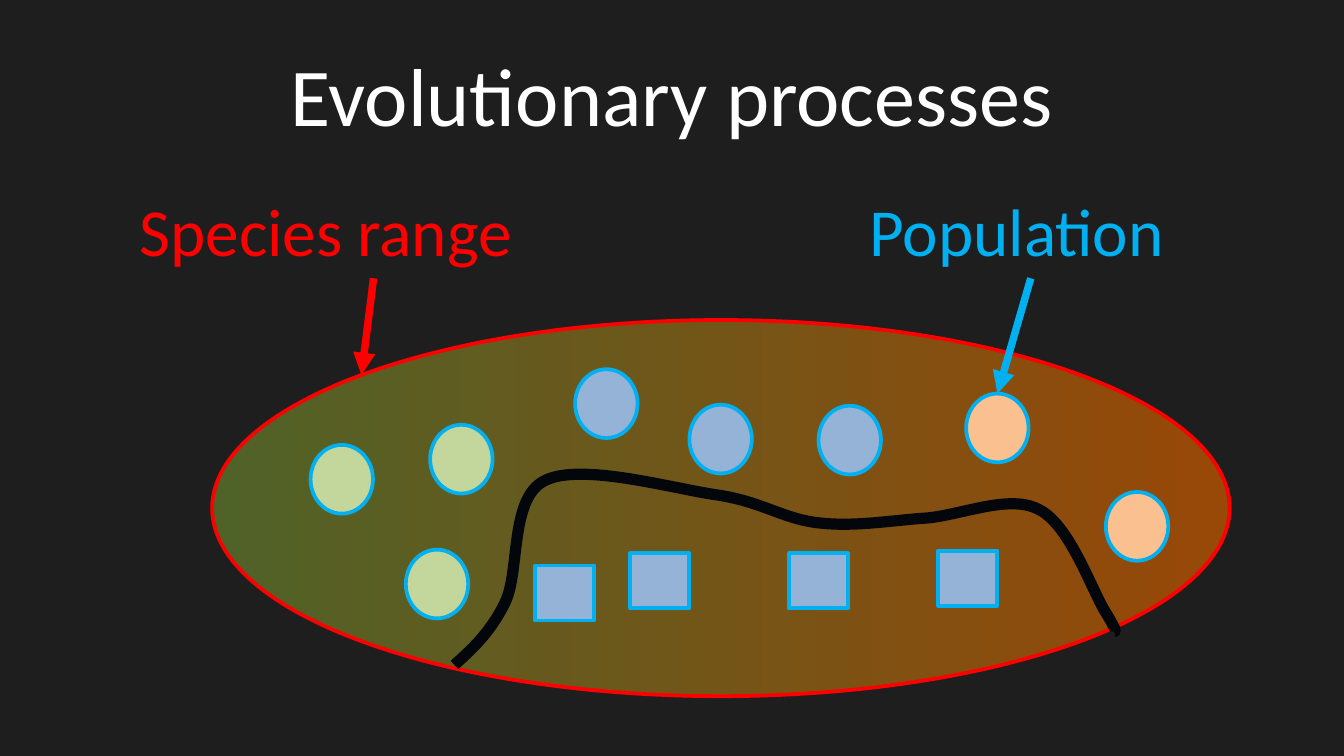
from typing import NamedTuple

from pptx import Presentation
from pptx.dml.color import RGBColor
from pptx.enum.shapes import MSO_CONNECTOR, MSO_SHAPE
from pptx.enum.text import MSO_ANCHOR, PP_ALIGN
from pptx.oxml.ns import qn
from pptx.oxml.xmlchemy import OxmlElement
from pptx.util import Cm, Pt

FONT = "Calibri"
RED, SKY, WHITE = "FF0000", "00B0F0", "FFFFFF"
GREEN, BLUE, PEACH = "C3D69B", "95B3D7", "FAC090"


class Kind(NamedTuple):
    shape: MSO_SHAPE
    width: float
    height: float


class Group(NamedTuple):
    """Populations of one kind and fill, with their top left corners in cm."""
    kind: Kind
    fill: str
    spots: list[tuple[float, float]]


class Label(NamedTuple):
    text: str
    color: str
    box: tuple[float, float, float, float]
    tail: tuple[float, float]
    tip: tuple[float, float]


ROUND = Kind(MSO_SHAPE.OVAL, 1.18, 1.3)
SQUARE = Kind(MSO_SHAPE.RECTANGLE, 1.12, 1.04)

GROUPS = [
    Group(ROUND, GREEN, [(5.87, 8.41), (8.13, 8.03), (7.67, 10.39)]),
    Group(ROUND, BLUE, [(10.87, 6.98), (13.03, 7.65), (15.47, 7.67)]),
    Group(ROUND, PEACH, [(18.26, 7.44), (20.9, 9.3)]),
    Group(SQUARE, BLUE, [(10.11, 10.69), (11.91, 10.46), (14.91, 10.46), (17.73, 10.41)]),
]
LABELS = [
    Label("Species range", RED, (2.39, 3.45, 9.35, 1.78), (7.06, 5.26), (6.83, 7.09)),
    Label("Population", SKY, (16.18, 3.45, 6.6, 1.78), (19.48, 5.26), (18.85, 7.44)),
]
# Start point, then two handles and an end point for each curve
BARRIER = [
    (8.59, 12.57),
    (8.92, 12.27), (9.27, 11.96), (9.55, 11.38),
    (9.83, 10.8), (9.63, 9.42), (10.29, 9.09),
    (10.95, 8.74), (12.65, 9.22), (13.51, 9.35),
    (14.38, 9.47), (14.78, 9.8), (15.44, 9.88),
    (16.08, 9.96), (16.69, 9.86), (17.4, 9.8),
    (18.08, 9.78), (19.05, 9.32), (19.63, 9.63),
    (20.22, 9.91), (20.65, 11.2), (20.9, 11.58),
    (21.13, 11.96), (21.08, 11.94), (21.06, 11.94),
]


def paint(target, color: str) -> None:
    """Give a solid fill or a line its colour."""
    target.solid()
    target.fore_color.rgb = RGBColor.from_string(color)


def stroke(item, color: str, width: float) -> None:
    paint(item.line.fill, color)
    item.line.width = Pt(width)


def write(slide, text: str, box, *, size: float, color: str,
          align=PP_ALIGN.LEFT, anchor=MSO_ANCHOR.TOP) -> None:
    frame = slide.shapes.add_textbox(*map(Cm, box)).text_frame
    frame.word_wrap = True
    frame.vertical_anchor = anchor
    line = frame.paragraphs[0]
    line.alignment = align
    run = line.add_run()
    run.text = text
    run.font.name = FONT
    run.font.size = Pt(size)
    run.font.color.rgb = RGBColor.from_string(color)


def draw_range(slide) -> None:
    oval = slide.shapes.add_shape(MSO_SHAPE.OVAL, *map(Cm, (4.01, 6.05, 19.23, 7.11)))
    oval.shadow.inherit = False
    oval.fill.gradient()
    oval.fill.gradient_angle = 0
    for stop, color, place in zip(oval.fill.gradient_stops, ("4F6228", "984807"), (0, 1)):
        stop.color.rgb = RGBColor.from_string(color)
        stop.position = place
    stroke(oval, RED, 2)


def draw_group(slide, group: Group) -> None:
    kind = group.kind
    for left, top in group.spots:
        mark = slide.shapes.add_shape(
            kind.shape, Cm(left), Cm(top), Cm(kind.width), Cm(kind.height))
        mark.shadow.inherit = False
        paint(mark.fill, group.fill)
        stroke(mark, SKY, 2)


def draw_arrow(slide, label: Label) -> None:
    arrow = slide.shapes.add_connector(
        MSO_CONNECTOR.STRAIGHT, *map(Cm, label.tail + label.tip))
    stroke(arrow, label.color, 4)
    head = OxmlElement("a:tailEnd")
    head.set("type", "triangle")
    arrow.line._get_or_add_ln().append(head)
    arrow._element.spPr.append(OxmlElement("a:effectLst"))


def draw_curve(slide, points: list[tuple[float, float]], color: str, width: float) -> None:
    """Draw an open line, turning each three segments into one Bezier curve."""
    start, *rest = [(Cm(x), Cm(y)) for x, y in points]
    pen = slide.shapes.build_freeform(*start)
    pen.add_line_segments(rest, close=False)
    curve = pen.convert_to_shape()
    curve.shadow.inherit = False
    curve.fill.background()
    stroke(curve, color, width)
    trace = next(curve._element.iter(qn("a:path")))
    steps = trace.findall(qn("a:lnTo"))
    for first in range(0, len(steps), 3):
        bend = OxmlElement("a:cubicBezTo")
        for step in steps[first:first + 3]:
            bend.append(step[0])
            trace.remove(step)
        trace.append(bend)


def main() -> None:
    deck = Presentation()
    deck.slide_width, deck.slide_height = Cm(25.4), Cm(14.29)
    slide = deck.slides.add_slide(deck.slide_layouts[6])
    paint(slide.background.fill, "1E1E1E")
    write(slide, "Evolutionary processes", (1.27, 0.58, 22.86, 2.39), size=44,
          color=WHITE, align=PP_ALIGN.CENTER, anchor=MSO_ANCHOR.MIDDLE)
    draw_range(slide)
    for group in GROUPS:
        draw_group(slide, group)
    for label in LABELS:
        write(slide, label.text, label.box, size=36, color=label.color)
        draw_arrow(slide, label)
    draw_curve(slide, BARRIER, "03070C", 6)
    deck.save("out.pptx")


if __name__ == "__main__":
    main()
